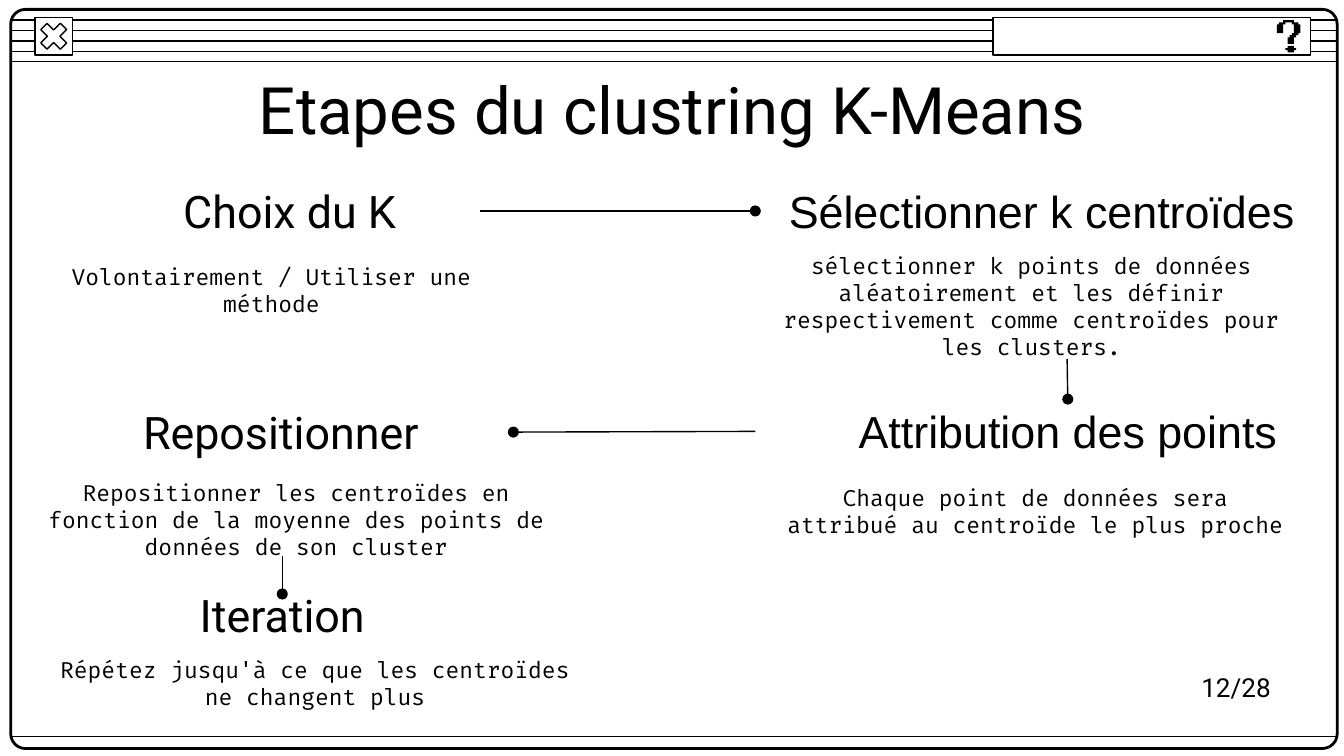
import pptx
import pptx.util
import pptx.dml.color
from pptx.enum.shapes import MSO_CONNECTOR, MSO_SHAPE
from pptx.enum.text import MSO_ANCHOR, MSO_AUTO_SIZE, PP_ALIGN
from lxml import etree

Inches, Pt = pptx.util.Inches, pptx.util.Pt
HUES = {"ink": "000000", "paper": "FFFFFF"}
INK = pptx.dml.color.RGBColor.from_string(HUES["ink"])
PAPER = pptx.dml.color.RGBColor.from_string(HUES["paper"])
NS = "{http://schemas.openxmlformats.org/drawingml/2006/main}"

deck = pptx.Presentation()
deck.slide_width = Inches(10)
deck.slide_height = deck.slide_width * 9 // 16
slide = deck.slides.add_slide(deck.slide_layouts[5])
shapes = slide.shapes


def draw_line(x1, y1, x2, y2, dot=False):
    line = shapes.add_connector(
        MSO_CONNECTOR.STRAIGHT, Inches(x1), Inches(y1), Inches(x2), Inches(y2))
    line.line.color.rgb = INK
    line.line.width = Pt(0.75)
    if dot:
        etree.SubElement(line.line._get_or_add_ln(), NS + "tailEnd", type="oval")
    etree.SubElement(line._element.spPr, NS + "effectLst")
    return line


def set_text(box, text, size, font, align=PP_ALIGN.CENTER):
    frame = box.text_frame
    frame.text = text
    frame.word_wrap = True
    frame.auto_size = MSO_AUTO_SIZE.NONE
    frame.vertical_anchor = MSO_ANCHOR.MIDDLE
    frame.margin_left = frame.margin_right = Inches(0.1)
    frame.margin_top = frame.margin_bottom = Inches(0.1)
    para = frame.paragraphs[0]
    para.alignment = align
    run = para.runs[0]
    run.font.size = Pt(size)
    run.font.name = font
    run.font.color.rgb = INK


# Window frame: title bar stripes, bottom rule, border and buttons
for row in range(5):
    y = 0.15 + row * 0.31 / 4
    draw_line(0.08, y, 9.95, y)
draw_line(0.08, 5.48, 9.95, 5.48)

parts = [
    (MSO_SHAPE.ROUNDED_RECTANGLE, 0.08, 0.07, 9.87, 5.5, 0.02, 1.5),
    (MSO_SHAPE.RECTANGLE, 0.26, 0.13, 0.28, 0.28, None, 0.75),
    (MSO_SHAPE.MATH_MULTIPLY, 0.26, 0.13, 0.28, 0.28, 0.235, 0.75),
    (MSO_SHAPE.RECTANGLE, 7.39, 0.13, 2.36, 0.28, None, 0.75),
]
for kind, x, y, w, h, adj, width in parts:
    part = shapes.add_shape(kind, Inches(x), Inches(y), Inches(w), Inches(h))
    part.shadow.inherit = False
    if adj is not None:
        part.adjustments[0] = adj
    if kind == MSO_SHAPE.ROUNDED_RECTANGLE:
        part.fill.background()
    else:
        part.fill.solid()
        part.fill.fore_color.rgb = PAPER
    part.line.color.rgb = INK
    part.line.width = Pt(width)

# Question mark, in pixels of its own grid
hook = [(3, 0), (3, 1), (1, 1), (1, 2), (0, 2), (0, 6), (3, 6), (3, 2),
        (4, 2), (4, 1), (7, 1), (7, 2), (8, 2), (8, 6), (7, 6), (7, 7),
        (6, 7), (6, 8), (5, 8), (5, 11), (8, 11), (8, 8), (9, 8), (9, 7),
        (10, 7), (10, 6), (11, 6), (11, 2), (10, 2), (10, 1), (8, 1), (8, 0)]
point = [(5, 12), (5, 13), (4, 13), (4, 14), (5, 14), (5, 15),
         (8, 15), (8, 14), (9, 14), (9, 13), (8, 13), (8, 12)]
for dots in (hook, point):
    pen = shapes.build_freeform(*dots[0], scale=Inches(0.016))
    pen.add_line_segments(dots[1:], close=True)
    mark = pen.convert_to_shape(Inches(9.5), Inches(0.15))
    mark.shadow.inherit = False
    mark.fill.solid()
    mark.fill.fore_color.rgb = INK
    mark.line.fill.background()

title = shapes.title
title.left, title.top = Inches(0.79), Inches(0.49)
title.width, title.height = Inches(8.43), Inches(0.63)
set_text(title, "Etapes du clustring K-Means", 35, "Roboto")

# Each step: heading, its font and place, then details and their place
steps = [
    ("Choix du K", "Roboto", (0.63, 1.25, 3.05, 0.63),
     "Volontairement / Utiliser une méthode", (0.36, 1.88, 3.32, 0.55)),
    ("Sélectionner k centroïdes", "Arial", (5.72, 1.25, 4.06, 0.63),
     "sélectionner k points de données aléatoirement et les définir "
     "respectivement comme centroïdes pour les clusters.", (5.72, 1.9, 3.91, 0.76)),
    ("Attribution des points", "Arial", (6.25, 2.97, 3.39, 0.47),
     "Chaque point de données sera attribué au centroïde le plus proche",
     (5.72, 3.55, 3.97, 0.51)),
    ("Repositionner", "Roboto", (0.36, 2.98, 3.46, 0.47),
     "Repositionner les centroïdes en fonction de la moyenne des points de "
     "données de son cluster", (0.2, 3.59, 4.01, 0.55)),
    ("Iteration", "Roboto", (0.74, 4.34, 2.72, 0.47),
     "Répétez jusqu'à ce que les centroïdes ne changent plus",
     (0.27, 4.91, 4.15, 0.35)),
]
heads = {}
for name, font, place, details, spot in steps:
    heads[name] = shapes.add_textbox(*map(Inches, place))
    set_text(heads[name], name, 24, font)
    set_text(shapes.add_textbox(*map(Inches, spot)), details, 12, "Fira Code")

draw_line(3.57, 1.57, 5.62, 1.57, dot=True)
down = draw_line(7.94, 2.67, 7.94, 2.97, dot=True)
down.end_connect(heads["Attribution des points"], 0)
back = draw_line(5.62, 3.21, 3.82, 3.22, dot=True)
back.end_connect(heads["Repositionner"], 3)
draw_line(2.1, 4.14, 2.1, 4.42, dot=True)

page = shapes.add_textbox(Inches(8.84), Inches(4.94), Inches(0.76), Inches(0.34))
set_text(page, "12/28", 14, "Roboto", PP_ALIGN.LEFT)

deck.save("out.pptx")
